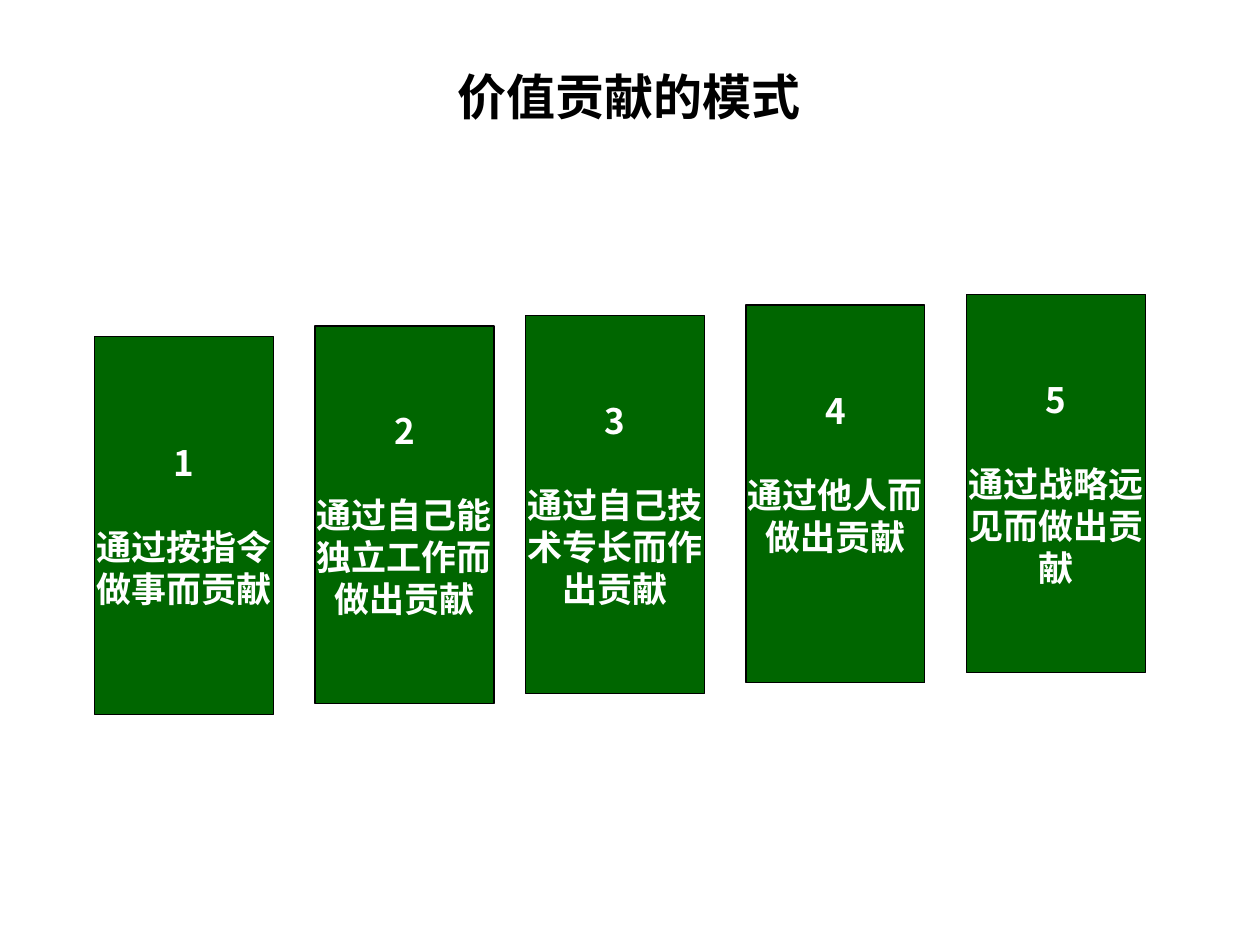
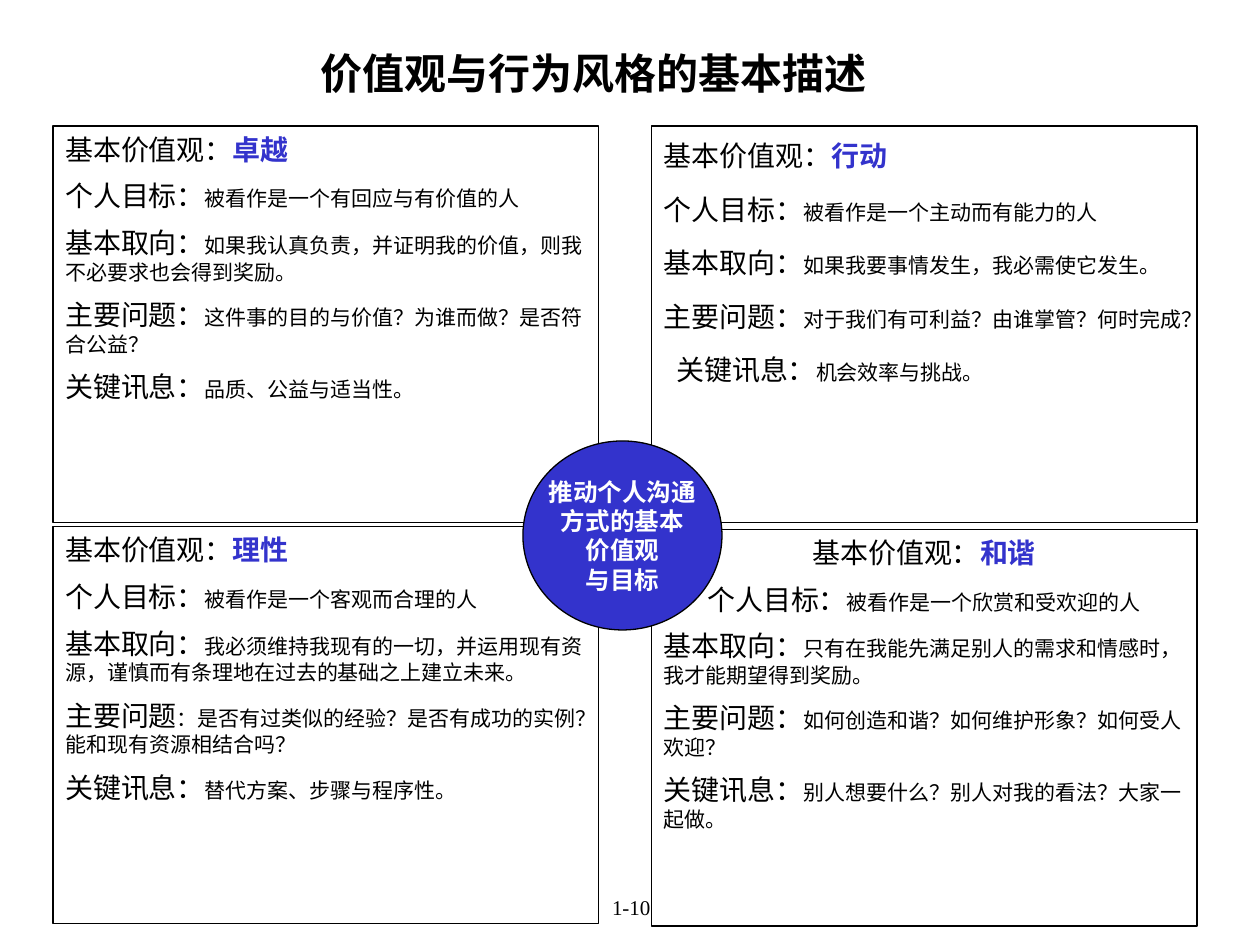
from dataclasses import dataclass

from pptx import Presentation
from pptx.dml.color import RGBColor
from pptx.enum.lang import MSO_LANGUAGE_ID
from pptx.enum.shapes import MSO_SHAPE
from pptx.enum.text import MSO_ANCHOR, MSO_AUTO_SIZE, PP_ALIGN
from pptx.util import Inches, Pt

BLACK = RGBColor(0x00, 0x00, 0x00)
WHITE = RGBColor(0xFF, 0xFF, 0xFF)
GREEN = RGBColor(0x00, 0x66, 0x00)
BLUE = RGBColor(0x33, 0x33, 0xCC)
SANS = "Noto Sans CJK SC"
SERIF = "Times New Roman"

STEP_LINE = Pt(24)
STEP_W, STEP_H = 1.42, 3
PANEL_W, PANEL_H = 4.33, 3.15
LABELS = ("个人目标", "基本取向", "主要问题", "关键讯息")


@dataclass
class Step:
    left: float
    lines: tuple[str, ...]
    bottom_inset: float = 0.05


@dataclass
class Panel:
    left: float
    top: float
    value: str
    answers: tuple[str, ...]
    centered_rows: int = 0
    line_spacing: float | None = None
    last_indent: float = 0


STEPS = (
    Step(0.75, ("通过按指令", "做事而贡献")),
    Step(2.5, ("通过自己能", "独立工作而", "做出贡献")),
    Step(4.17, ("通过自己技", "术专长而作", "出贡献")),
    Step(5.92, ("通过他人而", "做出贡献"), bottom_inset=0.38),
    Step(7.67, ("通过战略远", "见而做出贡", "献")),
)

# An answer that opens with a colon carries it in the small size
PANELS = (
    Panel(5.17, 4.2, "和谐", (
        "被看作是一个欣赏和受欢迎的人",
        "只有在我能先满足别人的需求和情感时，我才能期望得到奖励。",
        "如何创造和谐？如何维护形象？如何受人欢迎？",
        "别人想要什么？别人对我的看法？大家一起做。",
    ), centered_rows=2),
    Panel(0.42, 4.18, "理性", (
        "被看作是一个客观而合理的人",
        "我必须维持我现有的一切，并运用现有资源，谨慎而有条理地在过去的基础之上建立未来。",
        "：是否有过类似的经验？是否有成功的实例？能和现有资源相结合吗？",
        "替代方案、步骤与程序性。",
    )),
    Panel(5.17, 1, "行动", (
        "被看作是一个主动而有能力的人",
        "如果我要事情发生，我必需使它发生。",
        "对于我们有可利益？由谁掌管？何时完成？",
        "机会效率与挑战。",
    ), line_spacing=1.2, last_indent=0.1),
    Panel(0.42, 1, "卓越", (
        "被看作是一个有回应与有价值的人",
        "如果我认真负责，并证明我的价值，则我不必要求也会得到奖励。",
        "这件事的目的与价值？为谁而做？是否符合公益？",
        "品质、公益与适当性。",
    )),
)


def style_run(r, size: float, font: str, color: RGBColor = BLACK, bold: bool = False) -> None:
    r.font.size = Pt(size)
    r.font.name = font
    r.font.bold = bold
    r.font.color.rgb = color
    r.font.language_id = MSO_LANGUAGE_ID.SIMPLIFIED_CHINESE


def add_run(p, text: str, size: float, color: RGBColor = BLACK, bold: bool = False) -> None:
    r = p.add_run()
    r.text = text
    style_run(r, size, SERIF, color, bold)


def add_title(s, text: str, left: float, top: float, width: float, height: float,
              size: float) -> None:
    sp = s.shapes.title
    sp.left, sp.top, sp.width, sp.height = map(Inches, (left, top, width, height))
    tf = sp.text_frame
    tf.text = text
    tf.auto_size = MSO_AUTO_SIZE.NONE
    tf.vertical_anchor = MSO_ANCHOR.TOP
    tf.word_wrap = False
    p = tf.paragraphs[0]
    p.alignment = PP_ALIGN.CENTER
    style_run(p.runs[0], size, SANS, bold=True)


def add_box(s, kind: MSO_SHAPE, left: float, top: float, width: float, height: float,
            fill: RGBColor | None = None):
    sp = s.shapes.add_shape(kind, *map(Inches, (left, top, width, height)))
    sp.shadow.inherit = False
    if fill is None:
        sp.fill.background()
    else:
        sp.fill.solid()
        sp.fill.fore_color.rgb = fill
    sp.line.color.rgb = BLACK
    sp.line.width = Pt(0.75)
    return sp


def fill_centered(tf, lines: tuple[str, ...], size: float, font: str) -> None:
    tf.text = "\n".join(lines)
    tf.word_wrap = False
    tf.vertical_anchor = MSO_ANCHOR.MIDDLE
    for p in tf.paragraphs:
        p.alignment = PP_ALIGN.CENTER
        style_run(p.runs[0], size, font, WHITE, bold=True)


def add_step(s, number: int, step: Step) -> None:
    top = 2.67 - (number - 1) / 12
    sp = add_box(s, MSO_SHAPE.RECTANGLE, step.left, top, STEP_W, STEP_H, GREEN)
    tf = sp.text_frame
    tf.margin_bottom = Inches(step.bottom_inset)
    fill_centered(tf, (str(number), *step.lines), 20, SANS)
    for p in tf.paragraphs:
        p.line_spacing = STEP_LINE
    tf.paragraphs[1].space_before = STEP_LINE


def add_panel(s, panel: Panel) -> None:
    sp = add_box(s, MSO_SHAPE.RECTANGLE, panel.left, panel.top, PANEL_W, PANEL_H)
    tf = sp.text_frame
    tf.word_wrap = True
    tf.vertical_anchor = MSO_ANCHOR.TOP
    p = tf.paragraphs[0]
    add_run(p, "基本价值观：", 16)
    add_run(p, panel.value, 16, BLUE, bold=True)
    for label, answer in zip(LABELS, panel.answers):
        p = tf.add_paragraph()
        p.space_before = Pt(7.5)
        add_run(p, label if answer.startswith("：") else label + "：", 16)
        add_run(p, answer, 12)
    for i, p in enumerate(tf.paragraphs):
        p.alignment = PP_ALIGN.CENTER if i < panel.centered_rows else PP_ALIGN.LEFT
        p.line_spacing = panel.line_spacing
    if panel.last_indent:
        p._p.get_or_add_pPr().set("indent", str(Inches(panel.last_indent)))


def add_page_number(s, text: str) -> None:
    tf = s.shapes.add_textbox(Inches(4.22), Inches(7.05), Inches(1.58), Inches(0.3)).text_frame
    tf.word_wrap = True
    tf.text = text
    p = tf.paragraphs[0]
    p.alignment = PP_ALIGN.CENTER
    style_run(p.runs[0], 12, SERIF)


def main() -> None:
    prs = Presentation()
    prs.slide_width, prs.slide_height = Inches(10), Inches(7.5)
    title_only = prs.slide_layouts[5]

    # Five rising steps of contribution
    s = prs.slides.add_slide(title_only)
    add_title(s, "价值贡献的模式", 3.53, 0.48, 2.92, 0.57, 28)
    for number, step in enumerate(STEPS, 1):
        add_step(s, number, step)

    # Four value styles around a central circle
    s = prs.slides.add_slide(title_only)
    add_title(s, "价值观与行为风格的基本描述", 0.92, 0.33, 7.58, 0.5, 24)
    for panel in PANELS:
        add_panel(s, panel)
    circle = add_box(s, MSO_SHAPE.OVAL, 4.15, 3.5, 1.58, 1.5, BLUE)
    fill_centered(circle.text_frame, ("推动个人沟通", "方式的基本", "价值观", "与目标"), 14, SERIF)
    add_page_number(s, "1-10")

    prs.save("out.pptx")


if __name__ == "__main__":
    main()
